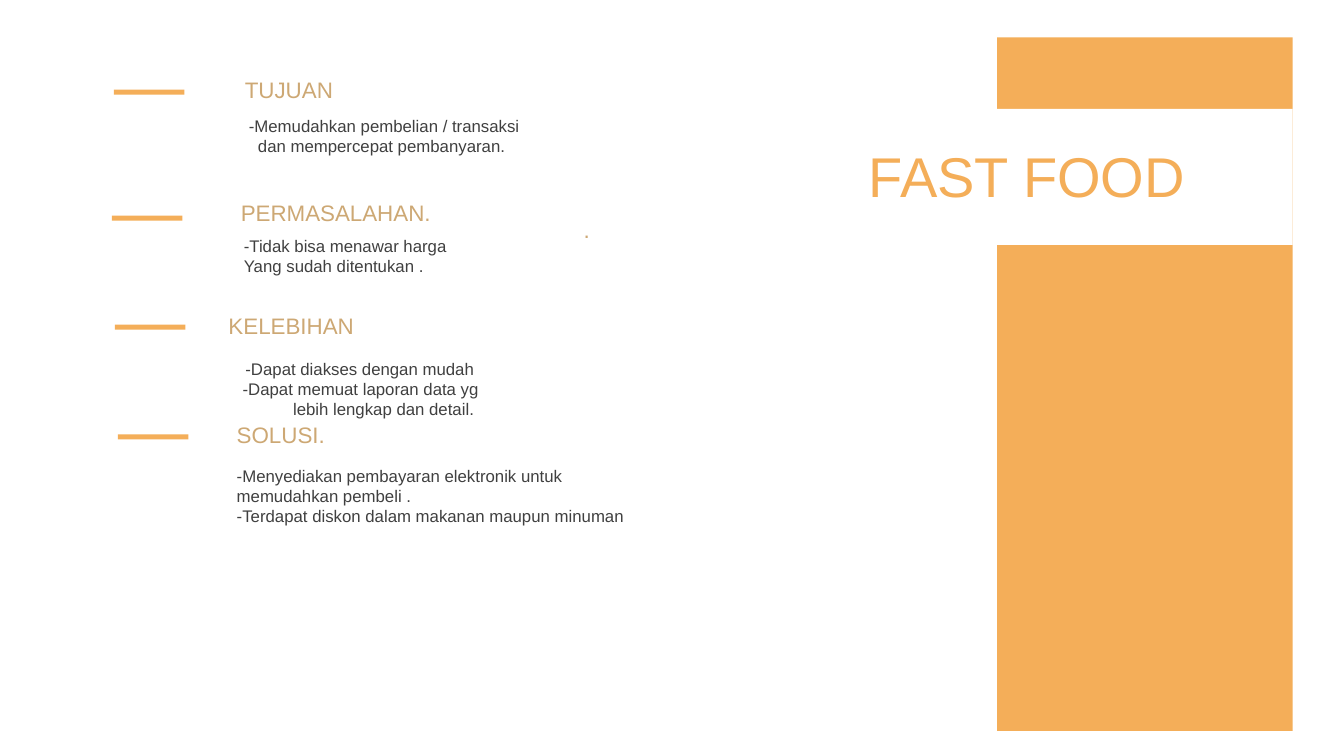
import pptx
import pptx.util
import pptx.dml.color
import pptx.enum.shapes
import pptx.enum.text

WIDE, HIGH = 13.33, 7.5
COLS, ROWS = 133.3, 75
FONT = "Arial"
ORANGE, TAN, GREY, WHITE = "F4AE59", "CDA874", "404040", "FFFFFF"
ALIGN = pptx.enum.text.PP_ALIGN
LEFT, RIGHT, FULL = ALIGN.LEFT, ALIGN.RIGHT, ALIGN.JUSTIFY

DASHES = [(11.3, 8.9), (11.1, 21.4), (11.4, 32.2), (11.7, 43.1)]

HEADS = [
    ("TUJUAN", (23.3, 7.1, 43, 3.7), LEFT, 1),
    (".", (17.7, 21, 43, 3.7), RIGHT, 2.2),
    ("PERMASALAHAN.", (22.9, 19.3, 43, 3.7), LEFT, 1),
    ("KELEBIHAN", (-5.8, 30.5, 43.1, 3.7), RIGHT, 2.2),
    ("SOLUSI.", (22.5, 41.3, 43, 3.7), LEFT, 1),
]

NOTES = [
    ([("-Memudahkan pembelian / transaksi", 0),
      ("dan mempercepat pembanyaran.", 0.9)],
     (23.7, 11, 42.4, 5), LEFT),
    ([("-Tidak bisa menawar harga", 0),
      ("Yang sudah ditentukan .", 0)],
     (23.2, 22.9, 42.4, 7.1), LEFT),
    ([("-Dapat diakses dengan mudah ", 0),
      ("-Dapat memuat laporan data yg", 0),
      ("lebih lengkap dan detail. ", 0)],
     (6, 35.1, 42.5, 9.1), RIGHT),
    ([("-Menyediakan pembayaran elektronik untuk memudahkan pembeli .", 0),
      ("-Terdapat diskon dalam makanan maupun minuman", 0)],
     (22.5, 45.7, 42.4, 7.1), LEFT),
]


def paint(code):
    return pptx.dml.color.RGBColor.from_string(code)


def col(count):
    return pptx.util.Inches(count * WIDE / COLS)


def row(count):
    return pptx.util.Inches(count * HIGH / ROWS)


def place(area):
    left, top, width, height = area
    return col(left), row(top), col(width), row(height)


def block(slide, area, tone):
    kind = pptx.enum.shapes.MSO_SHAPE.RECTANGLE
    shape = slide.shapes.add_shape(kind, *place(area))
    shape.shadow.inherit = False
    shape.fill.solid()
    shape.fill.fore_color.rgb = paint(tone)
    shape.line.fill.background()
    return shape


def write(frame, lines, size, tone, align):
    frame.word_wrap = True
    for index, (words, indent) in enumerate(lines):
        para = frame.add_paragraph() if index else frame.paragraphs[0]
        para.alignment = align
        if indent:
            para._p.get_or_add_pPr().set("marL", str(col(indent)))
        run = para.add_run()
        run.text = words
        run.font.size = pptx.util.Pt(size)
        run.font.name = FONT
        run.font.color.rgb = paint(tone)


def label(slide, lines, area, size, tone, align, inset=1):
    frame = slide.shapes.add_textbox(*place(area)).text_frame
    frame.margin_right = col(inset)
    write(frame, lines, size, tone, align)


def title(slide, words, area):
    frame = block(slide, area, WHITE).text_frame
    frame.vertical_anchor = pptx.enum.text.MSO_ANCHOR.MIDDLE
    frame.margin_top = row(1)
    frame.margin_bottom = row(0.5)
    write(frame, [(words, 0)], 40, ORANGE, FULL)
    frame.paragraphs[0].line_spacing = 0.9


def main():
    deck = pptx.Presentation()
    deck.slide_width = pptx.util.Inches(WIDE)
    deck.slide_height = pptx.util.Inches(HIGH)
    slide = deck.slides.add_slide(deck.slide_layouts[6])
    block(slide, (98.9, 3.7, 29.3, 68.8), ORANGE)
    title(slide, "FAST FOOD", (85.2, 10.8, 43, 13.5))
    for left, top in DASHES:
        block(slide, (left, top, 7, 0.5), ORANGE)
    for lines, area, align in NOTES:
        label(slide, lines, area, 12, GREY, align)
    for words, area, align, inset in HEADS:
        label(slide, [(words, 0)], area, 16, TAN, align, inset)
    deck.save("out.pptx")


if __name__ == "__main__":
    main()
